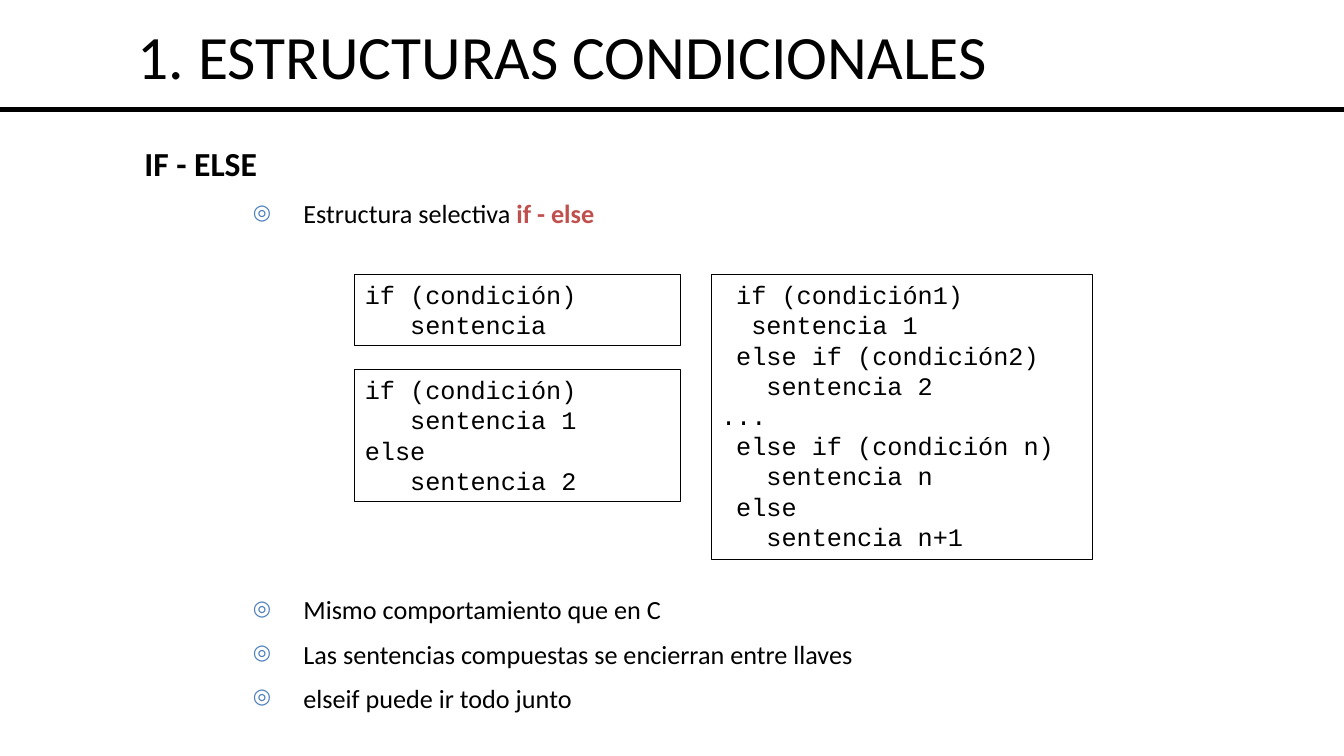
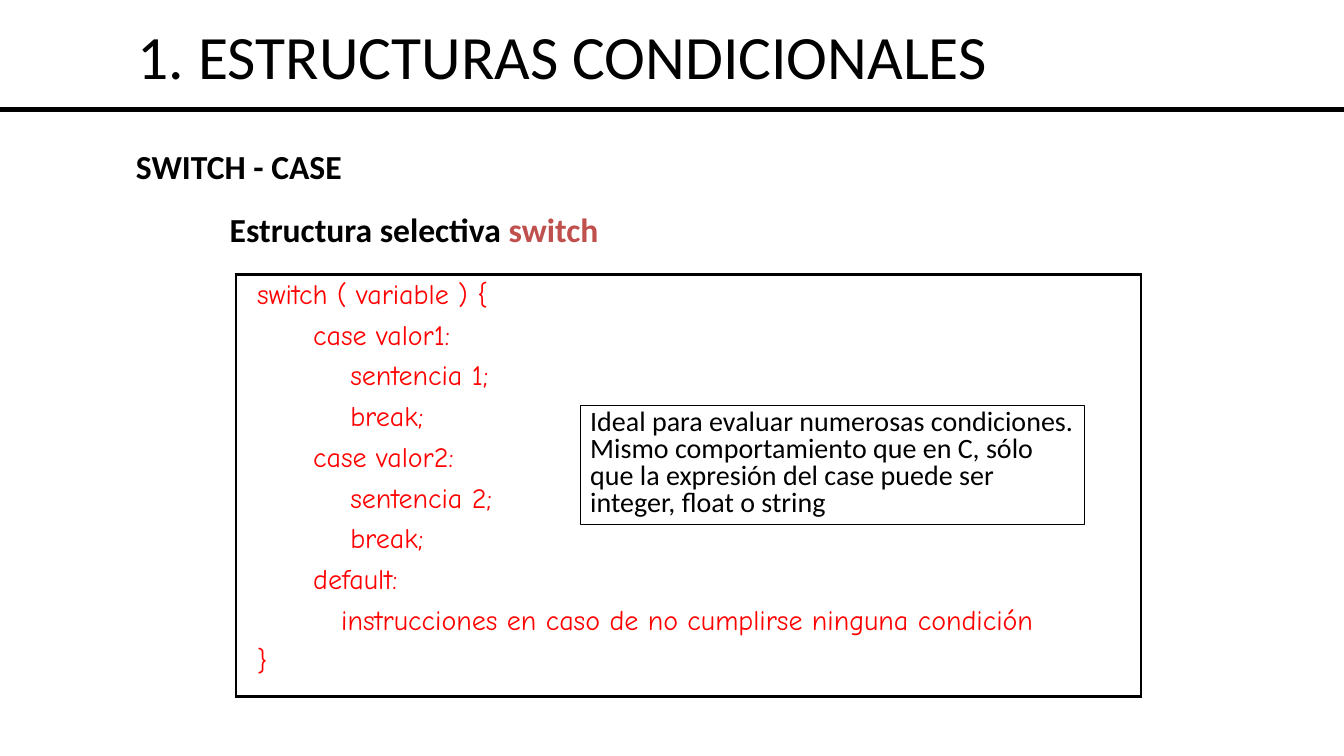
"""Builds two slides about conditional structures in code."""
from dataclasses import dataclass
from typing import NamedTuple

from lxml.etree import SubElement
from pptx import Presentation
from pptx.dml.color import RGBColor
from pptx.enum.shapes import MSO_CONNECTOR, MSO_SHAPE
from pptx.enum.text import MSO_ANCHOR, MSO_AUTO_SIZE, PP_ALIGN
from pptx.oxml.ns import qn
from pptx.util import Pt

BLACK, RED, BRICK, BLUE = "000000", "FF0000", "C0504D", "4F81BD"
SANS, MONO, HAND = "Calibri", "Courier New", "Comic Neue"
TITLE = "1. ESTRUCTURAS CONDICIONALES"
CODE_SIZE = 18
CHAR_W = 0.6 * CODE_SIZE
CASE, STEP, REMARK = 48, 74.5, 68


class Box(NamedTuple):
    left: float
    top: float
    width: float
    height: float


class Span(NamedTuple):
    text: str
    color: str = BLACK
    bold: bool = False


@dataclass(frozen=True)
class Para:
    spans: tuple[Span, ...]
    indent: float = 0
    hanging: float = 0
    before: float = 0
    spacing: float = 1.0
    align: PP_ALIGN = PP_ALIGN.LEFT
    bullet: str = ""


@dataclass(frozen=True)
class CodeBox:
    box: Box
    lines: tuple[tuple[int, str], ...]


CODE_BOXES = (
    CodeBox(Box(253.5, 196, 232.5, 51), ((0, "if (condición)"), (3, "sentencia"))),
    CodeBox(Box(253.5, 264, 232.5, 94.5), (
        (0, "if (condición)"), (3, "sentencia 1"),
        (0, "else"), (3, "sentencia 2"))),
    CodeBox(Box(508, 196, 272.5, 203.5), (
        (1, "if (condición1)"), (2, "sentencia 1"),
        (1, "else if (condición2)"), (3, "sentencia 2"), (0, "..."),
        (1, "else if (condición n)"), (3, "sentencia n"),
        (1, "else"), (3, "sentencia n+1"))),
)
SWITCH_LINES = (
    (8, "switch ( variable ) {"),
    (CASE, "case valor1:"), (STEP, "sentencia 1;"), (STEP, "break;"),
    (CASE, "case valor2:"), (STEP, "sentencia 2;"), (STEP, "break;"),
    (CASE, "default:"),
    (REMARK, "instrucciones en caso de no cumplirse ninguna condición"),
    (8, "}"),
)
NOTES = (
    "Ideal para evaluar numerosas condiciones.",
    "Mismo comportamiento que en C, sólo que la expresión del case puede ser "
    "integer, float o string",
)


def rgb(color: str) -> RGBColor:
    """Turn a hex string into a colour."""
    return RGBColor.from_string(color)


def pts(box: Box) -> tuple[Pt, ...]:
    """Turn a box into lengths."""
    return tuple(Pt(v) for v in box)


def add_bullet(pPr, char: str) -> None:
    """Give a paragraph a small coloured bullet."""
    SubElement(SubElement(pPr, qn("a:buClr")), qn("a:srgbClr"), val=BLUE)
    SubElement(pPr, qn("a:buSzPct"), val="80000")
    SubElement(pPr, qn("a:buChar"), char=char)


def write(tf, paras: list[Para], size: float, font: str = SANS) -> None:
    """Fill a text frame with formatted paragraphs."""
    tf.word_wrap = True
    for i, para in enumerate(paras):
        p = tf.add_paragraph() if i else tf.paragraphs[0]
        p.alignment, p.line_spacing = para.align, para.spacing
        p.space_before = Pt(para.before)
        pPr = p._p.get_or_add_pPr()
        pPr.set("marL", str(Pt(para.indent)))
        pPr.set("indent", str(Pt(-para.hanging)))
        if para.bullet:
            add_bullet(pPr, para.bullet)
        for span in para.spans:
            r = p.add_run()
            r.text = span.text
            r.font.name, r.font.size, r.font.bold = font, Pt(size), span.bold
            r.font.color.rgb = rgb(span.color)


def fill_placeholder(s, box: Box, paras: list[Para], size: float, anchor: MSO_ANCHOR) -> None:
    """Move a placeholder and write its text."""
    s.left, s.top, s.width, s.height = pts(box)
    tf = s.text_frame
    tf.auto_size, tf.vertical_anchor = MSO_AUTO_SIZE.NONE, anchor
    write(tf, paras, size)


def add_slide(prs, layout: int):
    """Add a slide with the shared title."""
    slide = prs.slides.add_slide(prs.slide_layouts[layout])
    para = Para((Span(TITLE),), spacing=0.9, align=PP_ALIGN.CENTER)
    fill_placeholder(slide.shapes.title, Box(0, 0, 804, 70), [para], 44, MSO_ANCHOR.BOTTOM)
    return slide


def add_master_rule(prs, slide) -> None:
    """Put the rule under the title on the slide master."""
    s = slide.shapes.add_connector(MSO_CONNECTOR.STRAIGHT, 0, Pt(78), prs.slide_width, Pt(78))
    s.line.color.rgb, s.line.width = rgb(BLACK), Pt(3.5)
    SubElement(s.element.spPr, qn("a:effectLst"))
    s.element.xpath(".//p:cNvPr")[0].set("id", "20")
    prs.slide_master.shapes.element.append(s.element)


def add_heading(slide, box: Box, spans: tuple[Span, ...], spacing: float = 1.0) -> None:
    """Add a heading without an outline."""
    s = slide.shapes.add_textbox(*pts(box))
    write(s.text_frame, [Para(spans, spacing=spacing)], 24)


def add_frame(slide, box: Box, paras: list[Para], size: float, font: str) -> None:
    """Add an outlined rectangle with text."""
    s = slide.shapes.add_shape(MSO_SHAPE.RECTANGLE, *pts(box))
    s.shadow.inherit = False
    s.fill.background()
    s.line.color.rgb, s.line.width = rgb(BLACK), Pt(0.75)
    s.text_frame.vertical_anchor = MSO_ANCHOR.TOP
    write(s.text_frame, paras, size, font)


def add_switch_table(slide, box: Box) -> None:
    """Add the one-cell table with the switch code."""
    table = slide.shapes.add_table(1, 1, *pts(box)).table
    table.first_row = table.horz_banding = False
    cell = table.cell(0, 0)
    tcPr = cell._tc.get_or_add_tcPr()
    for side in "LRTB":
        ln = SubElement(tcPr, qn(f"a:ln{side}"), w=str(Pt(2.25)))
        SubElement(SubElement(ln, qn("a:solidFill")), qn("a:srgbClr"), val=BLACK)
    cell.fill.background()
    paras = [Para((Span(text, RED),), indent, before=6) for indent, text in SWITCH_LINES]
    write(cell.text_frame, paras, 20, HAND)


def build_if_else(prs) -> None:
    """Build the slide on if - else."""
    slide = add_slide(prs, 1)
    add_master_rule(prs, slide)
    add_heading(slide, Box(96, 98.5, 126, 36), (Span("IF - ELSE", bold=True),))
    items = (
        (18, (Span("Estructura selectiva "), Span("if - else", BRICK, True))),
        (269.5, (Span("Mismo comportamiento que en C"),)),
        (18, (Span("Las sentencias compuestas se encierran entre llaves"),)),
        (18, (Span("elseif puede ir todo junto"),)),
    )
    paras = [Para(spans, 36, 36, before, 0.6, bullet="◎") for before, spans in items]
    fill_placeholder(slide.placeholders[1], Box(173.5, 145.5, 641, 374.5), paras, 18.7,
                     MSO_ANCHOR.TOP)
    for code in CODE_BOXES:
        paras = [Para((Span(text),), chars * CHAR_W) for chars, text in code.lines]
        add_frame(slide, code.box, paras, CODE_SIZE, MONO)


def build_switch(prs) -> None:
    """Build the slide on switch - case."""
    slide = add_slide(prs, 5)
    add_heading(slide, Box(90, 101, 553, 36), (Span("SWITCH - CASE", bold=True),))
    add_switch_table(slide, Box(168.5, 196, 646.5, 301))
    add_heading(slide, Box(157, 151, 376.5, 31),
                (Span("Estructura selectiva ", bold=True), Span("switch", BRICK, True)), 0.8)
    notes = [Para((Span(text),), spacing=0.8) for text in NOTES]
    add_frame(slide, Box(414.5, 289.5, 360, 85), notes, 20, SANS)


def main() -> None:
    """Build and save the presentation."""
    prs = Presentation()
    prs.slide_width, prs.slide_height = Pt(960), Pt(540)
    build_if_else(prs)
    build_switch(prs)
    prs.save("out.pptx")


if __name__ == "__main__":
    main()
